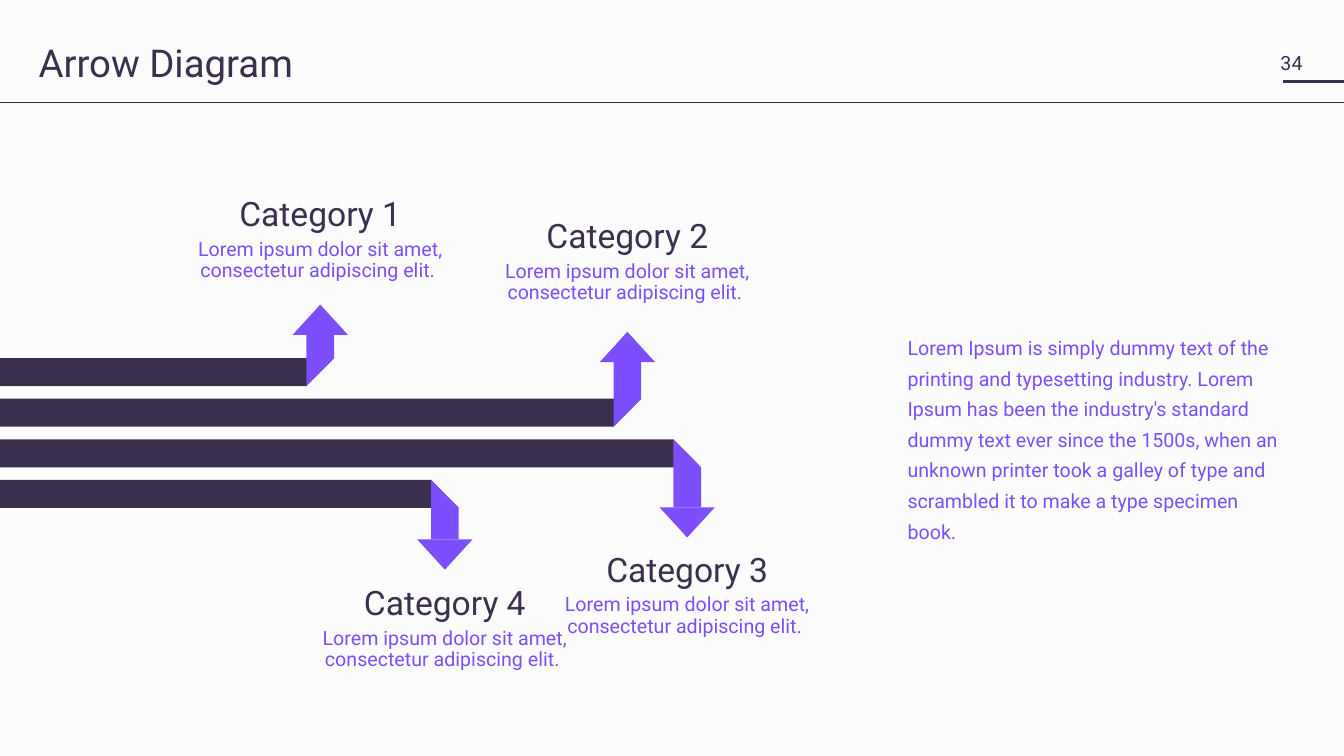
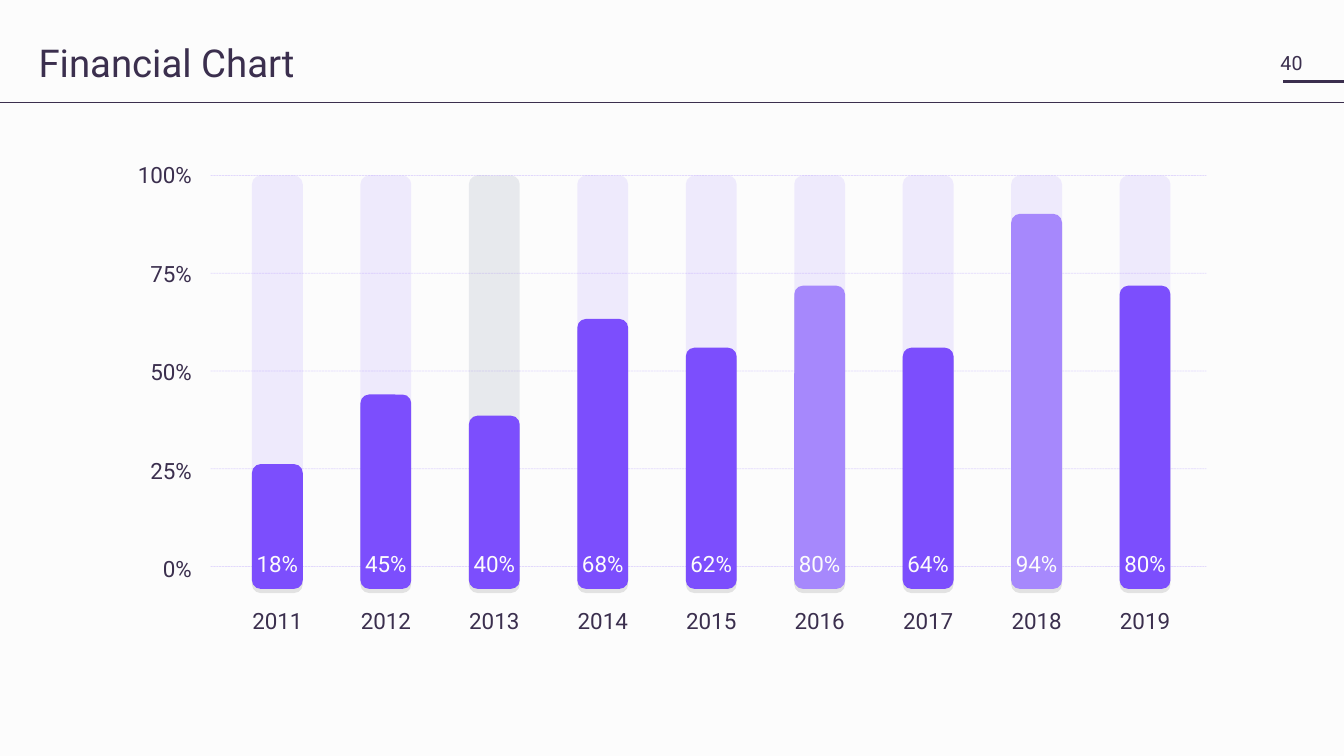
import pptx
import pptx.dml.color
import pptx.enum.dml
import pptx.enum.shapes
import pptx.enum.text
import pptx.oxml
import pptx.oxml.ns
import pptx.util

COLOURS = {"paper": "FCFCFC", "ink": "3B2F4E", "violet": "7C4EFD",
           "lilac": "A688FC", "slate": "36486D", "black": "000000"}
RGB = {name: pptx.dml.color.RGBColor.from_string(code) for name, code in COLOURS.items()}
FONT = "Roboto"
ALIGN = pptx.enum.text.PP_ALIGN
ANCHOR = pptx.enum.text.MSO_ANCHOR
qn = pptx.oxml.ns.qn
DRAWING_NS = pptx.oxml.ns.nsdecls("a")

deck = pptx.Presentation()
deck.slide_width = pptx.util.Inches(13.33)
deck.slide_height = pptx.util.Inches(7.5)
deck.slide_master.background.fill.solid()
deck.slide_master.background.fill.fore_color.rgb = RGB["paper"]

# Every place and size below is a percentage of the slide's width or height
COL = deck.slide_width / 100
ROW = deck.slide_height / 100


def box(left, top, width, height):
    return [round(v) for v in (left * COL, top * ROW, width * COL, height * ROW)]


def write(shape, lines, spacing, align=ALIGN.LEFT, anchor=ANCHOR.TOP, inset=0.05, wrap=True):
    """Fill a shape with lines of (text, size, colour)."""
    frame = shape.text_frame
    frame.text = "\n".join(text for text, size, colour in lines)
    frame.word_wrap = wrap
    frame.vertical_anchor = anchor
    frame.margin_left = frame.margin_right = pptx.util.Inches(inset)
    frame.margin_top = frame.margin_bottom = pptx.util.Inches(inset)
    for i, (paragraph, (text, size, colour)) in enumerate(zip(frame.paragraphs, lines)):
        paragraph.alignment = align
        paragraph.line_spacing = spacing
        paragraph.space_before = pptx.util.Pt(4 if i else 0)
        for run in paragraph.runs:
            run.font.name = FONT
            run.font.size = pptx.util.Pt(size)
            run.font.color.rgb = RGB[colour]


# Chart plot: gridlines from 100% down to 0%
PLOT_TOP, GRID_STEP = 23.22, 12.93
grid_rows = [PLOT_TOP + GRID_STEP * i for i in range(5)]

# Shared header: rules, page number, title
header_rules = [(95.47, 100, 10.75, 2, "ink", 100), (0, 100, 13.6, 0.5, "ink", 100)]
gridlines = [(15.67, 89.77, y, 0.5, "violet", 20) for y in grid_rows]
slides = []
for title, number, rules in (("Arrow Diagram", "34", header_rules),
                             ("Financial Chart", "40", header_rules + gridlines)):
    slide = deck.slides.add_slide(deck.slide_layouts[6])
    slides.append(slide)
    for start, end, y, weight, colour, opacity in rules:
        rule = slide.shapes.add_connector(
            pptx.enum.shapes.MSO_CONNECTOR.STRAIGHT,
            round(start * COL), round(y * ROW), round(end * COL), round(y * ROW))
        rule.line.width = pptx.util.Pt(weight)
        rule.line.color.rgb = RGB[colour]
        if opacity < 100:
            rule.line.dash_style = pptx.enum.dml.MSO_LINE.SQUARE_DOT
            for tint in rule.element.spPr.iter(qn("a:srgbClr")):
                tint.append(pptx.oxml.parse_xml(
                    f'<a:alpha {DRAWING_NS} val="{opacity * 1000}"/>'))
        rule.element.spPr.append(pptx.oxml.parse_xml(f'<a:effectLst {DRAWING_NS}/>'))
    write(slide.shapes.add_textbox(*box(94.75, 5.85, 2.7, 4.9)), [(number, 14, "ink")],
          1, anchor=ANCHOR.MIDDLE, inset=0.07, wrap=False)
    write(slide.shapes.add_textbox(*box(2.5, 6, 85.7, 7.2)), [(title, 27.4, "ink")], 0.75)
arrow_slide, chart_slide = slides

# Arrow diagram: each bar runs in from the left edge, then folds up or down
BAR_TOP, BAR_STEP, BAR_HEIGHT = 47.37, 5.37, 3.7
SHAFT, HEAD = 2.06, 4
LABEL_WIDTH, LABEL_HEIGHT = 21.7, 12.4
arrows = [  # name, fold, tip, label top
    ("Category 1", 22.8, 40.3, 25.5),
    ("Category 2", 45.65, 43.9, 28.35),
    ("Category 3", 50.1, 71.1, 72.5),
    ("Category 4", 32.07, 75.35, 76.9),
]
for i, (name, fold, tip, label_top) in enumerate(arrows):
    top = BAR_TOP + BAR_STEP * i
    bottom = top + BAR_HEIGHT
    points_up = tip < top
    near, far = (top, bottom) if points_up else (bottom, top)
    neck = tip + HEAD if points_up else tip - HEAD
    edge = fold + SHAFT
    middle = fold + SHAFT / 2

    bar = [(0, near), (edge, near), (fold, far), (0, far)]
    shaft = [(fold, far), (edge, near), (edge, neck), (fold, neck)]
    head = [(middle - SHAFT, neck), (middle, tip), (middle + SHAFT, neck)]
    for outline, colour in ((bar, "ink"), (shaft, "violet"), (head, "violet")):
        corners = [(round(x * COL), round(y * ROW)) for x, y in outline]
        builder = arrow_slide.shapes.build_freeform(*corners[0])
        builder.add_line_segments(corners[1:], close=True)
        part = builder.convert_to_shape()
        part.fill.solid()
        part.fill.fore_color.rgb = RGB[colour]
        part.line.fill.background()
        part.shadow.inherit = False

    label = arrow_slide.shapes.add_textbox(
        *box(middle - LABEL_WIDTH / 2, label_top, LABEL_WIDTH, LABEL_HEIGHT))
    write(label, [(name, 24, "ink"),
                  ("Lorem ipsum dolor sit amet, consectetur adipiscing elit. ", 14, "violet")],
          0.9, ALIGN.CENTER)

summary = ("Lorem Ipsum is simply dummy text of the printing and typesetting industry. "
           "Lorem Ipsum has been the industry's standard dummy text ever since the 1500s, "
           "when an unknown printer took a galley of type and scrambled it to make a type "
           "specimen book.")
write(arrow_slide.shapes.add_textbox(*box(67.53, 43.53, 28.6, 24.1)),
      [(summary, 14, "violet")], 1.3, inset=0)

# Financial chart: a pale track, a bar with its value, and the year below
TRACK_LEFT, TRACK_STEP, TRACK_WIDTH, TRACK_HEIGHT = 18.75, 8.07, 3.78, 54.67
YEAR_WIDTH = 4.6
years = [  # year, value, drawn height, bar colour, track colour
    ("2011", "18%", 16.5, "violet", "violet"),
    ("2012", "45%", 25.7, "violet", "violet"),
    ("2013", "40%", 22.9, "violet", "slate"),
    ("2014", "68%", 35.7, "violet", "violet"),
    ("2015", "62%", 31.9, "violet", "violet"),
    ("2016", "80%", 40.1, "lilac", "violet"),
    ("2017", "64%", 31.9, "violet", "violet"),
    ("2018", "94%", 49.6, "lilac", "violet"),
    ("2019", "80%", 40.1, "violet", "violet"),
]
for i, (year, value, height, bar_colour, track_colour) in enumerate(years):
    left = TRACK_LEFT + TRACK_STEP * i
    for length, colour in ((TRACK_HEIGHT, track_colour), (height, bar_colour)):
        column = chart_slide.shapes.add_shape(
            pptx.enum.shapes.MSO_SHAPE.ROUNDED_RECTANGLE,
            *box(left, PLOT_TOP + TRACK_HEIGHT - length, TRACK_WIDTH, length))
        column.adjustments[0] = 0.17
        column.fill.solid()
        column.fill.fore_color.rgb = RGB[colour]
        column.line.fill.background()
        column.shadow.inherit = False
        if length == TRACK_HEIGHT:
            column.element.spPr.find(qn("a:solidFill"))[0].append(
                pptx.oxml.parse_xml(f'<a:alpha {DRAWING_NS} val="10000"/>'))
        else:
            column.element.spPr.find(qn("a:effectLst")).append(pptx.oxml.parse_xml(
                f'<a:outerShdw {DRAWING_NS} blurRad="0" '
                f'dist="{pptx.util.Pt(3)}" dir="5400000" algn="t" rotWithShape="0">'
                f'<a:srgbClr val="{COLOURS["black"]}"><a:alpha val="10000"/></a:srgbClr>'
                '</a:outerShdw>'))
            write(column, [(value, 16, "paper")], 0.8, ALIGN.CENTER, ANCHOR.BOTTOM,
                  inset=0.09, wrap=False)
    year_left = left + (TRACK_WIDTH - YEAR_WIDTH) / 2
    write(chart_slide.shapes.add_textbox(*box(year_left, 79.9, YEAR_WIDTH, 4.8)),
          [(year, 16, "ink")], 0.95, ALIGN.CENTER, wrap=False)

# Value axis labels
for i, y in enumerate(grid_rows):
    write(chart_slide.shapes.add_textbox(*box(7.65, y - 2.3 + 0.1 * i, 7, 4.8)),
          [(f"{100 - 25 * i}%", 16, "ink")], 0.95, ALIGN.RIGHT)

deck.save("out.pptx")
